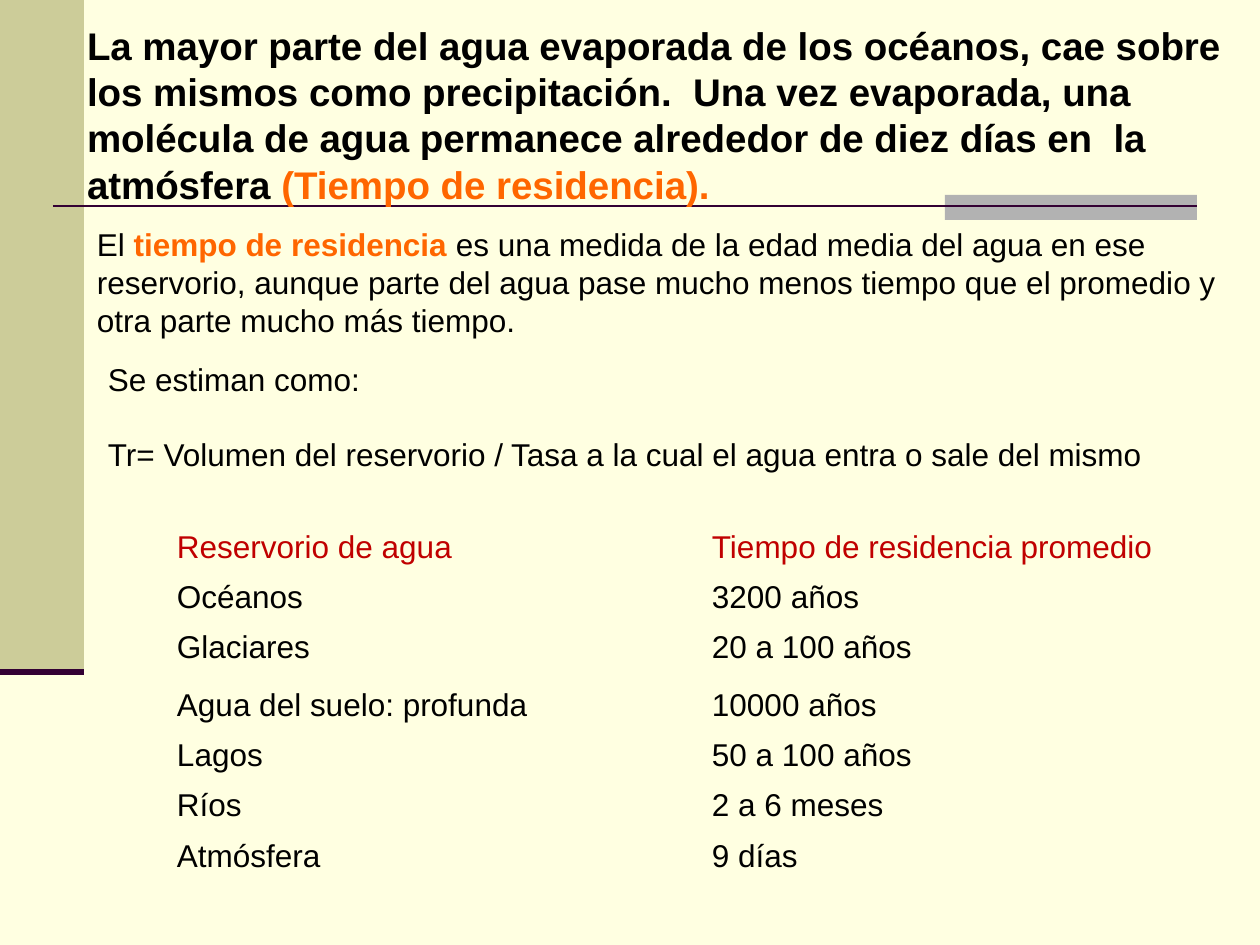
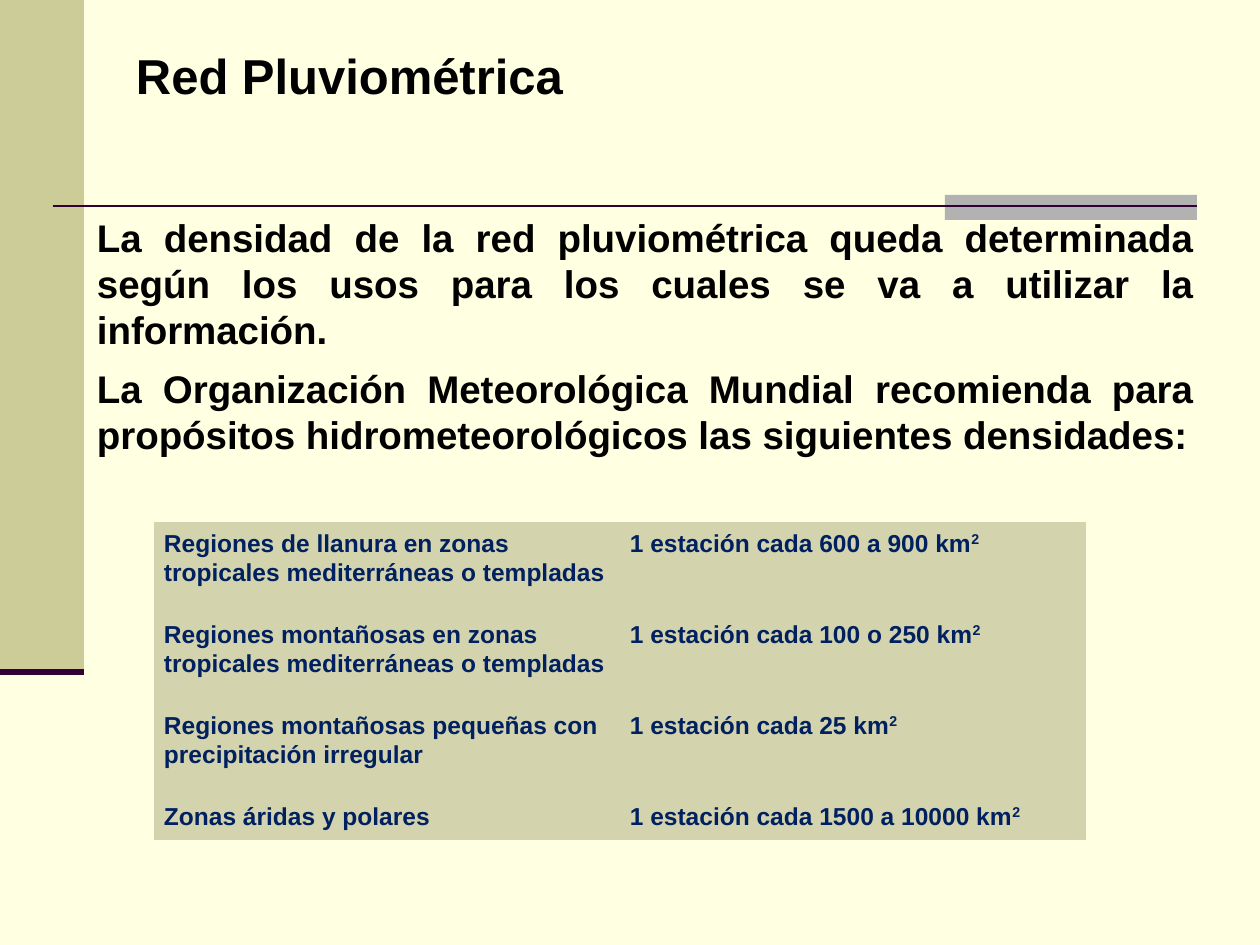
from lxml.etree import SubElement
from pptx import Presentation
from pptx.dml.color import RGBColor
from pptx.enum.shapes import MSO_CONNECTOR, MSO_SHAPE
from pptx.enum.text import MSO_ANCHOR, PP_ALIGN
from pptx.oxml.ns import qn
from pptx.util import Emu, Pt

FONT = "Arial"
CREAM, KHAKI, GREY, PLUM = "FFFFE1", "CCCC99", "B2B2B2", "330033"
BLACK, ORANGE, RED, NAVY, SAND = "000000", "FF6600", "C00000", "002060", "D3D3AE"
NO_GRID = "{2D5ABB26-0587-4C30-8999-92F81FD0307C}"

BANDS = [((0, 0, 84, 672), KHAKI), ((945, 195, 252, 25), GREY)]
RULES = [((53, 206, 1197, 206), 1.5), ((0, 672, 84, 672), 3.5)]

HEADING = {"size": 28, "bold": True, "color": BLACK}
STRONG = {"size": 22, "bold": True, "color": BLACK}
BODY = {"size": 18, "bold": False, "color": BLACK}
HEAD_ROW = {**BODY, "color": RED}
DENSITY = {"size": 14, "bold": True, "color": NAVY}
SUPER = {**DENSITY, "baseline": 30000}

PLAIN_BOX = {"vertical_anchor": MSO_ANCHOR.TOP, "margin_bottom": 6}
MIDDLE_BOX = {"vertical_anchor": MSO_ANCHOR.MIDDLE, "margin_bottom": 3}
LEFT = {"alignment": PP_ALIGN.LEFT}
JUSTIFIED = {"alignment": PP_ALIGN.JUSTIFY}
AFTER_GAP = {**LEFT, "space_before": Pt(21)}

RESIDENCE_TEXTS = [
    ((74, 16, 1218, 198), PLAIN_BOX, [
        (LEFT, [("La mayor parte del agua evaporada de los océanos, cae sobre los mismos como "
                 "precipitación.  Una vez evaporada, una molécula de agua permanece alrededor de "
                 "diez días en  la atmósfera ", STRONG),
                ("(Tiempo de residencia).", {**STRONG, "color": ORANGE})])]),
    ((84, 219, 1160, 126), PLAIN_BOX, [
        (LEFT, [("El ", BODY),
                ("tiempo de residencia ", {**BODY, "bold": True, "color": ORANGE}),
                ("es una medida de la edad media del agua en ese reservorio, aunque parte del agua "
                 "pase mucho menos tiempo que el promedio y otra parte mucho más tiempo.", BODY)])]),
    ((95, 354, 1121, 126), PLAIN_BOX, [
        (LEFT, [("Se estiman como:", BODY)]),
        (AFTER_GAP, [("Tr= Volumen del reservorio / Tasa a la cual el agua entra o sale del mismo",
                      BODY)])]),
]
SURFACE_ROWS = [
    ("Reservorio de agua", "Tiempo de residencia promedio"),
    ("Océanos", "3200 años"),
    ("Glaciares", "20 a 100 años"),
]
INLAND_ROWS = [
    ("Agua del suelo: profunda", "10000 años"),
    ("Lagos", "50 a 100 años"),
    ("Ríos", "2 a 6 meses"),
    ("Atmósfera", "9 días"),
]

NETWORK_TEXTS = [
    ((123, 39, 1123, 68), MIDDLE_BOX, [(JUSTIFIED, [("Red Pluviométrica", HEADING)])]),
    ((84, 208, 1123, 147), MIDDLE_BOX, [
        (JUSTIFIED, [("La densidad de la red pluviométrica queda determinada según los usos para "
                      "los cuales se va a utilizar la información.", STRONG)])]),
    ((84, 359, 1123, 101), MIDDLE_BOX, [
        (JUSTIFIED, [("La Organización Meteorológica Mundial recomienda para propósitos "
                      "hidrometeorológicos las siguientes densidades:", STRONG)])]),
]
DENSITIES = [
    ("Regiones de llanura en zonas tropicales mediterráneas o templadas", "600 a 900"),
    ("Regiones montañosas en zonas tropicales mediterráneas o templadas", "100 o 250"),
    ("Regiones montañosas pequeñas con precipitación irregular", "25"),
    ("Zonas áridas y polares", "1500 a 10000"),
]


def px(n):
    return Emu(round(n * 914400 / 126))


def rgb(color):
    return RGBColor.from_string(color)


def apply(target, values):
    for name, value in values.items():
        setattr(target, name, value)


def add_runs(p, runs):
    for text, fmt in runs:
        r = p.add_run()
        r.text = text
        apply(r.font, {"name": FONT, "size": Pt(fmt["size"]), "bold": fmt["bold"]})
        r.font.color.rgb = rgb(fmt["color"])
        if "baseline" in fmt:
            r._r.get_or_add_rPr().set("baseline", str(fmt["baseline"]))


def add_text(s, box, frame, paragraphs):
    tf = s.shapes.add_textbox(*map(px, box)).text_frame
    apply(tf, {"word_wrap": True, "margin_left": px(13), "margin_right": px(13),
               "margin_top": px(6), "margin_bottom": px(frame["margin_bottom"]),
               "vertical_anchor": frame["vertical_anchor"]})
    for i, (fmt, runs) in enumerate(paragraphs):
        p = tf.add_paragraph() if i else tf.paragraphs[0]
        apply(p, fmt)
        add_runs(p, runs)


def add_grid(s, left, top, col_width, heights, rows, side, anchor, spacing=1.0, fill=None):
    cols = len(rows[0])
    frame = s.shapes.add_table(len(rows), cols, px(left), px(top),
                               px(col_width * cols), px(sum(heights)))
    table = frame.table
    apply(table, {"first_row": False, "horz_banding": False})
    table._tbl.tblPr.find(qn("a:tableStyleId")).text = NO_GRID
    for col in table.columns:
        col.width = px(col_width)
    for i, (height, row) in enumerate(zip(heights, rows)):
        table.rows[i].height = px(height)
        for j, runs in enumerate(row):
            cell = table.cell(i, j)
            apply(cell, {"margin_left": px(side), "margin_right": px(side), "margin_top": px(6),
                         "margin_bottom": px(6), "vertical_anchor": anchor})
            if fill:
                cell.fill.solid()
                cell.fill.fore_color.rgb = rgb(fill)
            else:
                cell.fill.background()
            p = cell.text_frame.paragraphs[0]
            p.line_spacing = spacing
            add_runs(p, runs)


def add_slide(prs, texts):
    s = prs.slides.add_slide(prs.slide_layouts[6])
    for box, color in BANDS:
        sp = s.shapes.add_shape(MSO_SHAPE.RECTANGLE, *map(px, box))
        sp.shadow.inherit = False
        sp.fill.solid()
        sp.fill.fore_color.rgb = rgb(color)
        sp.line.fill.background()
    for ends, width in RULES:
        rule = s.shapes.add_connector(MSO_CONNECTOR.STRAIGHT, *map(px, ends))
        rule.line.color.rgb = rgb(PLUM)
        rule.line.width = Pt(width)
        SubElement(rule._element.spPr, qn("a:effectLst"))
    for text in texts:
        add_text(s, *text)
    return s


def build_residence(prs):
    s = add_slide(prs, RESIDENCE_TEXTS)
    for top, rows in ((522, SURFACE_ROWS), (680, INLAND_ROWS)):
        cells = [[[(text, HEAD_ROW if row is SURFACE_ROWS[0] else BODY)] for text in row]
                 for row in rows]
        add_grid(s, 164, top, 535, [50.4] * len(rows), cells, 13, MSO_ANCHOR.MIDDLE)


def build_network(prs):
    s = add_slide(prs, NETWORK_TEXTS)
    cells = [[[(region, DENSITY)], [(f"1 estación cada {area} km", DENSITY), ("2", SUPER)]]
             for region, area in DENSITIES]
    add_grid(s, 154, 522, 466, [91, 91, 91, 45], cells, 10, MSO_ANCHOR.TOP, 1.07, SAND)


def main():
    prs = Presentation()
    apply(prs, {"slide_width": px(1260), "slide_height": px(945)})
    background = prs.slide_master.background.fill
    background.solid()
    background.fore_color.rgb = rgb(CREAM)
    build_residence(prs)
    build_network(prs)
    prs.save("out.pptx")


if __name__ == "__main__":
    main()
